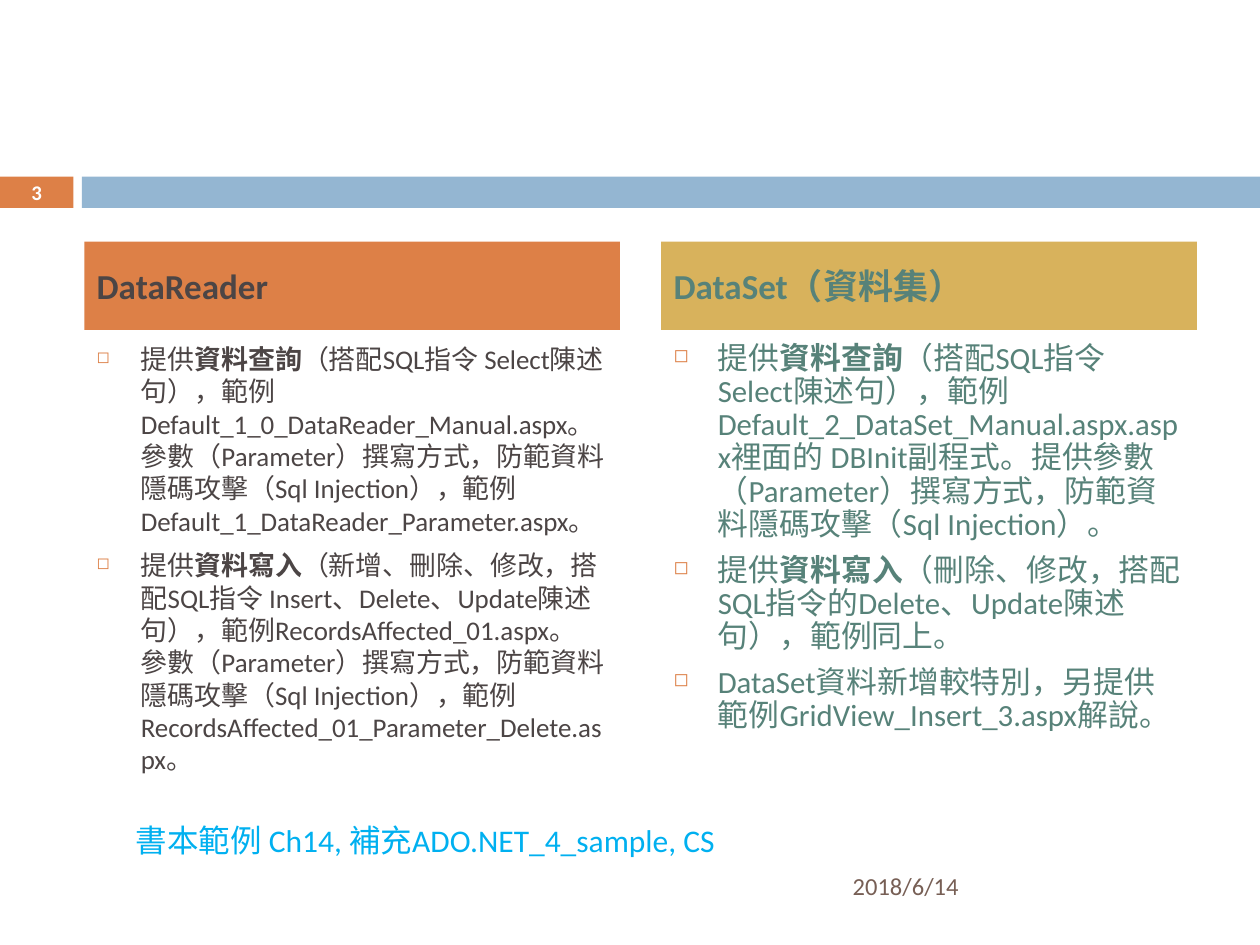
from lxml.etree import SubElement
from pptx import Presentation
from pptx.dml.color import RGBColor
from pptx.enum.shapes import MSO_SHAPE as Preset
from pptx.enum.text import MSO_ANCHOR as Anchor, PP_ALIGN as Align
from pptx.oxml.ns import qn
from pptx.util import Cm, Pt

FONT = "Calibri"
ORANGE = RGBColor(0xDD, 0x80, 0x47)
BLUE = RGBColor(0x94, 0xB6, 0xD2)
GOLD = RGBColor(0xD8, 0xB2, 0x5C)
DARK = RGBColor(0x4C, 0x45, 0x45)
GREEN = RGBColor(0x57, 0x82, 0x79)
CYAN = RGBColor(0x00, 0xB0, 0xF0)
BROWN = RGBColor(0x77, 0x5F, 0x55)
WHITE = RGBColor(0xFF, 0xFF, 0xFF)

PAGE_WIDTH, PAGE_HEIGHT = 25.4, 19.05
COLUMN_LEFT, COLUMN_WIDTH, COLUMN_STEP = 1.7, 10.8, 11.63
COLUMN_TOP, COLUMN_HEIGHT = 4.87, 11.87

READER_ITEMS = [
    [("提供", False), ("資料查詢", True),
     ("（搭配SQL指令 Select陳述句），範例Default_1_0_DataReader_Manual.aspx。\n"
      "參數（Parameter）撰寫方式，防範資料隱碼攻擊（Sql Injection），"
      "範例Default_1_DataReader_Parameter.aspx。", False)],
    [("提供", False), ("資料寫入", True),
     ("（新增、刪除、修改，搭配SQL指令 Insert、Delete、Update陳述句），"
      "範例RecordsAffected_01.aspx。\n"
      "參數（Parameter）撰寫方式，防範資料隱碼攻擊（Sql Injection），"
      "範例RecordsAffected_01_Parameter_Delete.aspx。", False)],
]
DATASET_ITEMS = [
    [("提供", False), ("資料查詢", True),
     ("（搭配SQL指令 Select陳述句），範例Default_2_DataSet_Manual.aspx.aspx"
      "裡面的 DBInit副程式。提供參數（Parameter）撰寫方式，"
      "防範資料隱碼攻擊（Sql Injection）。", False)],
    [("提供", False), ("資料寫入", True),
     ("（刪除、修改，搭配SQL指令的Delete、Update陳述句），範例同上。", False)],
    [("DataSet資料新增較特別，另提供範例GridView_Insert_3.aspx解說。", False)],
]
COLUMNS = [
    ("DataReader", READER_ITEMS, ORANGE, DARK, 15.4, 1.0),
    ("DataSet（資料集）", DATASET_ITEMS, GOLD, GREEN, 17.6, 0.9),
]


def add_block(page, left, top, width, height, fill):
    block = page.shapes.add_shape(
        Preset.RECTANGLE, Cm(left), Cm(top), Cm(width), Cm(height))
    block.shadow.inherit = False
    block.fill.solid()
    block.fill.fore_color.rgb = fill
    block.line.fill.background()
    return block


def add_span(para, text, size, color, bold=False):
    for index, line in enumerate(text.split("\n")):
        if index:
            para.add_line_break()
        span = para.add_run()
        span.text = line
        span.font.name = FONT
        span.font.size = Pt(size)
        span.font.bold = bold
        span.font.color.rgb = color


def write_line(shape, text, size, color, bold=False, align=Align.LEFT, anchor=Anchor.MIDDLE):
    frame = shape.text_frame
    frame.word_wrap = True
    frame.vertical_anchor = anchor
    para = frame.paragraphs[0]
    para.alignment = align
    add_span(para, text, size, color, bold)


def add_label(page, left, top, width, height, *text, **style):
    box = page.shapes.add_textbox(Cm(left), Cm(top), Cm(width), Cm(height))
    write_line(box, *text, **style)


def add_bullet(para):
    props = para._p.get_or_add_pPr()
    props.set("marL", str(Cm(0.89)))
    props.set("indent", str(Cm(-0.89)))
    color = SubElement(props, qn("a:buClr"))
    SubElement(color, qn("a:srgbClr"), val=str(ORANGE))
    SubElement(props, qn("a:buSzPct"), val="60000")
    SubElement(props, qn("a:buChar"), char="◻")


def add_band(page, top, height):
    number_width, gap = 1.48, 0.17
    number = add_block(page, 0, top, number_width, height, ORANGE)
    frame = number.text_frame
    frame.margin_top = frame.margin_bottom = 0
    write_line(number, "3", 11.9, WHITE, bold=True, align=Align.CENTER)
    start = number_width + gap
    add_block(page, start, top, PAGE_WIDTH - start, height, BLUE)


def add_column(page, left, top, width, height, title, items, fill, color, size, spacing):
    header_height, gap = 1.78, 0.13
    header = add_block(page, left, top, width, header_height, fill)
    write_line(header, title, 20, color, bold=True)

    offset = header_height + gap
    body = page.shapes.add_textbox(
        Cm(left), Cm(top + offset), Cm(width), Cm(height - offset))
    frame = body.text_frame
    frame.word_wrap = True
    for index, item in enumerate(items):
        para = frame.add_paragraph() if index else frame.paragraphs[0]
        add_bullet(para)
        para.alignment = Align.LEFT
        para.line_spacing = spacing
        para.space_before = Pt(7 if index else 0)
        for text, bold in item:
            add_span(para, text, size, color, bold)


def add_footer(page, left, top):
    add_label(page, left, top, 12.42, 1.02,
              "書本範例 Ch14, 補充ADO.NET_4_sample, CS", 18, CYAN, anchor=Anchor.TOP)
    add_label(page, left + 14.45, top + 0.92, 7.42, 1.02, "2018/6/14", 14, BROWN)


def main():
    deck = Presentation()
    deck.slide_width, deck.slide_height = Cm(PAGE_WIDTH), Cm(PAGE_HEIGHT)
    page = deck.slides.add_slide(deck.slide_layouts[6])
    add_band(page, 3.56, 0.63)
    for index, column in enumerate(COLUMNS):
        add_column(page, COLUMN_LEFT + index * COLUMN_STEP, COLUMN_TOP,
                   COLUMN_WIDTH, COLUMN_HEIGHT, *column)
    add_footer(page, 2.49, 16.43)
    deck.save("out.pptx")


if __name__ == "__main__":
    main()
